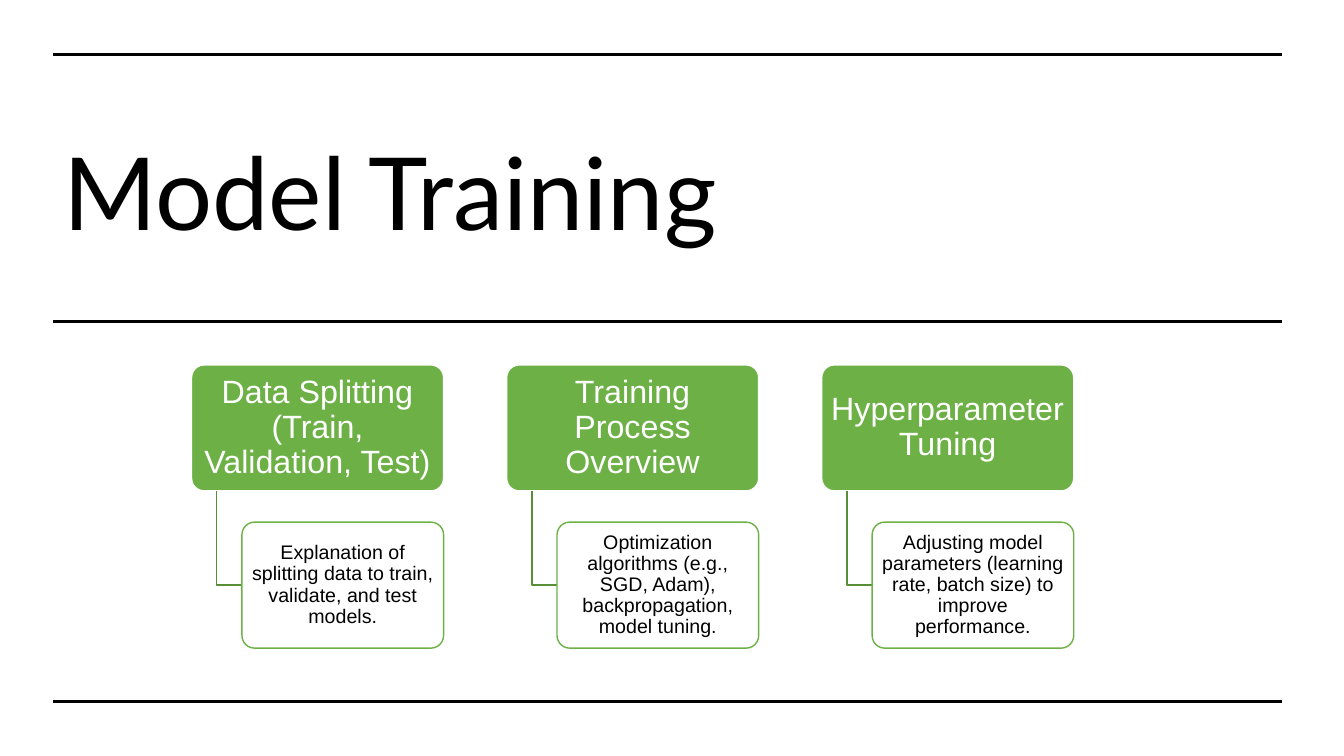
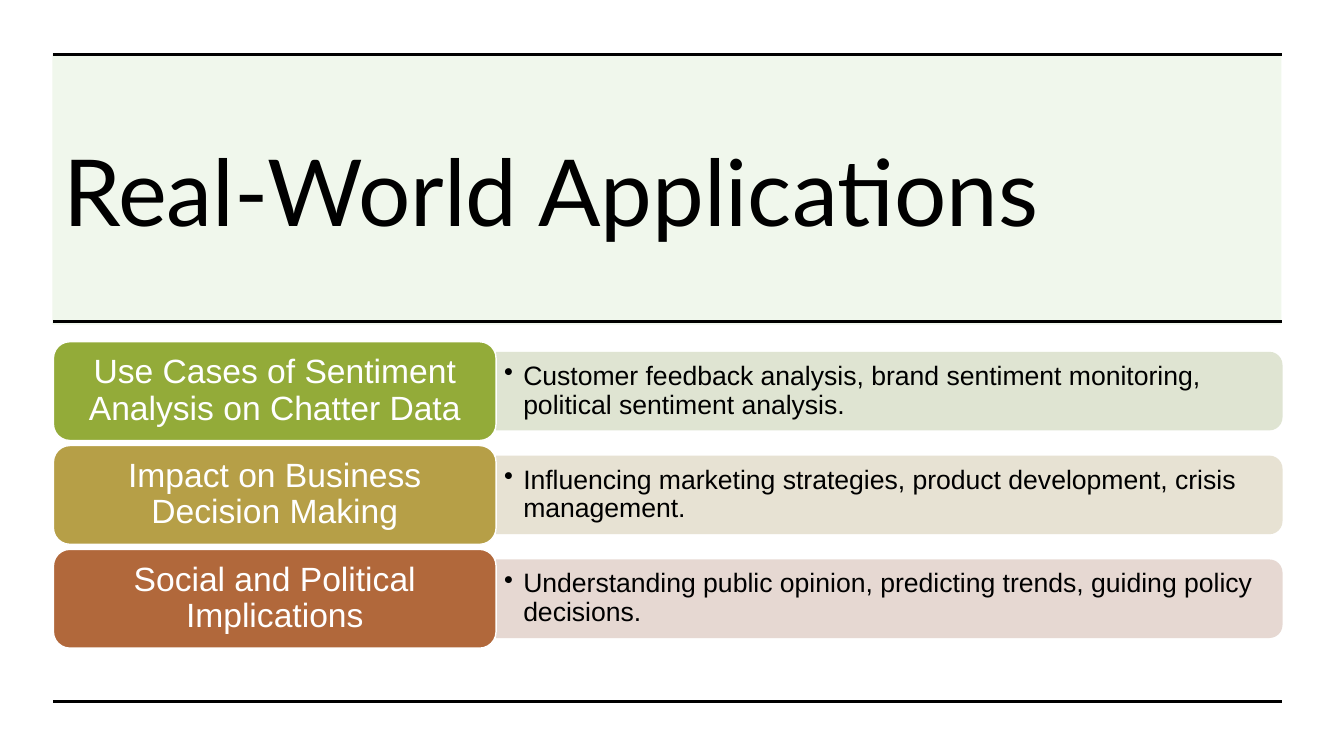
"""Build two slides: model training steps and real-world applications."""
import pptx
import pptx.util
import pptx.dml.color
import pptx.enum.shapes
import pptx.enum.text
import pptx.oxml
import pptx.oxml.ns

RGB = pptx.dml.color.RGBColor
SHAPE = pptx.enum.shapes.MSO_SHAPE
ALIGN = pptx.enum.text.PP_ALIGN
qn = pptx.oxml.ns.qn

PX = 9144
BLACK = RGB(0x00, 0x00, 0x00)
WHITE = RGB(0xFF, 0xFF, 0xFF)
GREEN = RGB(0x6D, 0xB1, 0x46)
DARK_GREEN = RGB(0x57, 0x8E, 0x38)
OLIVE = RGB(0x93, 0xAB, 0x39)
PALE_OLIVE = RGB(0xDC, 0xE2, 0xCE)
GOLD = RGB(0xB6, 0x9F, 0x47)
PALE_GOLD = RGB(0xE5, 0xDF, 0xCF)
RUST = RGB(0xB1, 0x68, 0x3B)
PALE_RUST = RGB(0xE4, 0xD4, 0xCE)

TITLE_FONT, BODY_FONT = "Lato", "Arial"
LEFT, RIGHT = 53, 1272
RULES = (54, 319, 696)

STEPS = [
    ("Data Splitting (Train, Validation, Test)",
     "Explanation of splitting data to train, validate, and test models."),
    ("Training Process Overview",
     "Optimization algorithms (e.g., SGD, Adam), backpropagation, model tuning."),
    ("Hyperparameter Tuning",
     "Adjusting model parameters (learning rate, batch size) to improve performance."),
]
APPLICATIONS = [
    ("Use Cases of Sentiment Analysis on Chatter Data", OLIVE, PALE_OLIVE,
     "Customer feedback analysis, brand sentiment monitoring, political sentiment analysis."),
    ("Impact on Business Decision Making", GOLD, PALE_GOLD,
     "Influencing marketing strategies, product development, crisis management."),
    ("Social and Political Implications", RUST, PALE_RUST,
     "Understanding public opinion, predicting trends, guiding policy decisions."),
]


def px(*values):
    return [round(v * PX) for v in values]


def add_text(sp, text, size, color, font=BODY_FONT, align=ALIGN.CENTER,
             inset=(10, 5), spacing=0.9):
    tf = sp.text_frame
    tf.word_wrap = True
    tf.vertical_anchor = pptx.enum.text.MSO_ANCHOR.MIDDLE
    tf.margin_left = tf.margin_right = inset[0] * PX
    tf.margin_top = tf.margin_bottom = inset[1] * PX
    p = tf.paragraphs[0]
    p.text = text
    p.alignment = align
    p.line_spacing = spacing
    p.font.name, p.font.size = font, pptx.util.Pt(size)
    p.font.color.rgb = color
    return p


def add_box(slide, kind, box, fill, line=None, alpha=100):
    sp = slide.shapes.add_shape(kind, *px(*box))
    sp.shadow.inherit = False
    sp.fill.solid()
    sp.fill.fore_color.rgb = fill
    if line is None:
        sp.line.fill.background()
    else:
        sp.line.color.rgb = line
        sp.line.width = pptx.util.Pt(1)
    if alpha < 100:
        color = sp.fill._xPr.find(qn("a:solidFill")).find(qn("a:srgbClr"))
        pptx.oxml.xmlchemy.OxmlElement("a:alpha")
        color.append(color.makeelement(qn("a:alpha"), {"val": str(alpha * 1000)}))
    return sp


def add_base(prs, title, size, title_width, tinted=False):
    slide = prs.slides.add_slide(prs.slide_layouts[6])
    if tinted:
        add_box(slide, SHAPE.RECTANGLE, (52, 53, 1219, 269), GREEN, alpha=10)
    sp = slide.shapes.add_textbox(*px(LEFT, 107, title_width, 163))
    add_text(sp, title, size, BLACK, TITLE_FONT, ALIGN.LEFT, spacing=1.0)
    for y in RULES:
        rule = slide.shapes.add_connector(
            pptx.enum.shapes.MSO_CONNECTOR.STRAIGHT, *px(LEFT, y, RIGHT, y))
        rule.line.color.rgb = BLACK
        rule.line.width = pptx.util.Pt(2.25)
        props = rule._element.spPr
        props.append(props.makeelement(qn("a:effectLst"), {}))
    return slide


def add_elbow(slide, x, top, bottom, end_x):
    builder = slide.shapes.build_freeform(*px(x, top))
    builder.add_line_segments([px(x, bottom), px(end_x, bottom)], close=False)
    sp = builder.convert_to_shape()
    sp.shadow.inherit = False
    sp.fill.background()
    sp.line.color.rgb = DARK_GREEN
    sp.line.width = pptx.util.Pt(1)


def add_training(prs):
    slide = add_base(prs, "Model Training", 72, 920)
    left, pitch, width, height = 190, 312.5, 250, 125
    top, detail_top, indent = 362, 518, 50
    for i, (heading, detail) in enumerate(STEPS):
        x = left + i * pitch
        sp = add_box(slide, SHAPE.ROUNDED_RECTANGLE, (x, top, width, height), GREEN, WHITE)
        sp.adjustments[0] = 0.1
        add_text(sp, heading, 23, WHITE, inset=(5, 3))
        add_elbow(slide, x + indent / 2, top + height, detail_top + height / 2, x + indent)
        sp = add_box(slide, SHAPE.ROUNDED_RECTANGLE,
                     (x + indent, detail_top, width - indent, height), WHITE, GREEN, 90)
        sp.adjustments[0] = 0.1
        add_text(sp, detail, 14, BLACK, inset=(3, 2))


def add_applications(prs):
    slide = add_base(prs, "Real-World Applications", 66, 1133, tinted=True)
    top, pitch, width, height = 339, 103, 439, 98
    band_left, band_width, band_height = LEFT + width, RIGHT - LEFT - width, 78
    for i, (heading, color, pale, detail) in enumerate(APPLICATIONS):
        y = top + i * pitch
        mid_x, mid_y = band_left + band_width / 2, y + height / 2
        band = add_box(slide, SHAPE.ROUND_2_SAME_RECTANGLE,
                       (mid_x - band_height / 2, mid_y - band_width / 2,
                        band_height, band_width), pale, alpha=90)
        band.rotation = 90
        sp = slide.shapes.add_textbox(*px(band_left, mid_y - 35, band_width - 4, 70))
        p = add_text(sp, detail, 19, BLACK, align=ALIGN.LEFT, inset=(8, 4))
        props = p._p.get_or_add_pPr()
        props.set("marL", str(19 * PX))
        props.set("indent", str(-19 * PX))
        props.append(props.makeelement(qn("a:buChar"), {"char": "•"}))
        props.append(props.find(qn("a:defRPr")))
        sp = add_box(slide, SHAPE.ROUNDED_RECTANGLE, (LEFT, y, width, height), color, WHITE)
        add_text(sp, heading, 24, WHITE)


def main():
    prs = pptx.Presentation()
    prs.slide_width, prs.slide_height = px(1333, 750)
    add_training(prs)
    add_applications(prs)
    prs.save("out.pptx")


if __name__ == "__main__":
    main()
